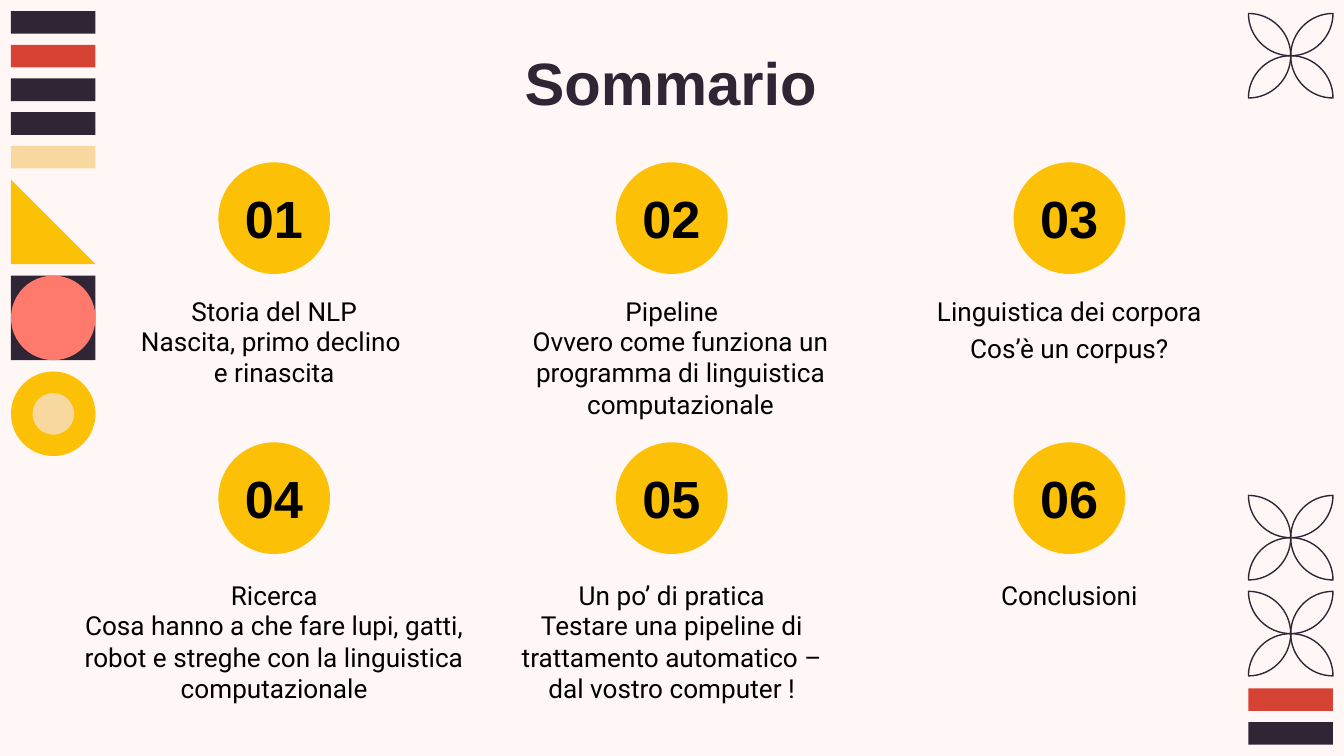
from dataclasses import dataclass

from lxml import etree
from pptx import Presentation
from pptx.dml.color import RGBColor
from pptx.enum import shapes, text
from pptx.oxml import ns
from pptx.util import Pt


@dataclass(frozen=True)
class Theme:
    paper: str = "FFF7F6"
    ink: str = "2F2534"
    black: str = "000000"
    red: str = "D64334"
    coral: str = "FF7A6D"
    yellow: str = "FCC107"
    sand: str = "F7D89E"
    head_font: str = "Arial"
    body_font: str = "Roboto"
    title_size: int = 32
    number_size: int = 28
    body_size: int = 14


T = Theme()
TITLE = dict(name=T.head_font, size=Pt(T.title_size), bold=True)
NUMBER = dict(name=T.head_font, size=Pt(T.number_size), bold=True)
BODY = dict(name=T.body_font, size=Pt(T.body_size), bold=False)
TOP, MIDDLE, BOTTOM = (text.MSO_ANCHOR.TOP, text.MSO_ANCHOR.MIDDLE,
                       text.MSO_ANCHOR.BOTTOM)
OVAL = shapes.MSO_SHAPE.OVAL
RECT = shapes.MSO_SHAPE.RECTANGLE
TRIANGLE = shapes.MSO_SHAPE.RIGHT_TRIANGLE

TILE = 45.3
TILE_STEP = 51.4
BAR = 12.1
BAR_STEP = 18.07
CIRCLE = 59.8
COLUMN = 181.4
PETAL = [("moveTo", [(0, 0)]),
         ("cubicBezTo", [(0.55, 0), (1, 0.45), (1, 1)]),
         ("cubicBezTo", [(0.45, 1), (0, 0.55), (0, 0)]),
         ("close", [])]


@dataclass(frozen=True)
class Topic:
    heading: str
    lines: tuple = ()
    width: float = COLUMN
    shift: float = 0
    drop: float = 0


TOPICS = [
    Topic("Storia del NLP", ("Nascita, primo declino ", "e rinascita")),
    Topic("Pipeline", ("Ovvero come funziona un programma di linguistica "
                       "computazionale",), width=190.8, shift=4.7),
    Topic("Linguistica dei corpora", ("Cos’è un corpus?",), drop=3.8),
    Topic("Ricerca", ("Cosa hanno a che fare lupi, gatti, robot e streghe "
                      "con la linguistica computazionale",), width=223.2),
    Topic("Un po’ di pratica", ("Testare una pipeline di trattamento "
                                "automatico – dal vostro computer !",)),
    Topic("Conclusioni"),
]


def add_solid(s, kind, x, y, w, h, color):
    sp = s.shapes.add_shape(kind, Pt(x), Pt(y), Pt(w), Pt(h))
    sp.shadow.inherit = False
    sp.fill.solid()
    sp.fill.fore_color.rgb = RGBColor.from_string(color)
    sp.line.fill.background()


def fill_text(tf, lines, style, color, anchor):
    frame = dict(word_wrap=True, auto_size=text.MSO_AUTO_SIZE.NONE,
                 vertical_anchor=anchor, margin_left=Pt(7.2),
                 margin_right=Pt(7.2), margin_top=Pt(7.2),
                 margin_bottom=Pt(7.2))
    for key, value in frame.items():
        setattr(tf, key, value)
    for i, line in enumerate(lines):
        p = tf.add_paragraph() if i else tf.paragraphs[0]
        layout = dict(alignment=text.PP_ALIGN.CENTER, line_spacing=1.0,
                      space_before=Pt(0), space_after=Pt(0))
        for key, value in layout.items():
            setattr(p, key, value)
        r = p.add_run()
        r.text = line
        for key, value in style.items():
            setattr(r.font, key, value)
        r.font.color.rgb = RGBColor.from_string(color)


def add_label(s, x, y, w, h, lines, style, anchor):
    sp = s.shapes.add_textbox(Pt(x), Pt(y), Pt(w), Pt(h))
    fill_text(sp.text_frame, lines, style, T.black, anchor)


def add_bars(s, x, y, colors):
    for i, color in enumerate(colors):
        add_solid(s, RECT, x, y + i * BAR_STEP, TILE, BAR, color)


def add_petal(group, x, y, size, right, low):
    builder = group.shapes.build_freeform(Pt(x), Pt(y), scale=1.0)
    builder.add_line_segments([(Pt(x + size), Pt(y + size))], close=True)
    sp = builder.convert_to_shape()
    sp.shadow.inherit = False
    sp.fill.background()
    sp.line.color.rgb = RGBColor.from_string(T.ink)
    sp.line.width = Pt(0.75)
    outline = next(sp.element.iter(ns.qn("a:path")))
    for step in list(outline):
        outline.remove(step)
    for tag, points in PETAL:
        step = etree.SubElement(outline, ns.qn(f"a:{tag}"))
        for u, v in points:
            etree.SubElement(step, ns.qn("a:pt"),
                             x=str(Pt(size * (1 - u if right else u))),
                             y=str(Pt(size * (1 - v if low else v))))


def add_flower(s, x, y, size):
    group = s.shapes.add_group_shape()
    half = size / 2
    for right, low in ((1, 1), (1, 0), (0, 0), (0, 1)):
        add_petal(group, x + right * half, y + low * half, half, right, low)


def add_left_strip(s, x, y):
    add_bars(s, x, y, (T.ink, T.red, T.ink, T.ink, T.sand))
    tops = [y + 5 * BAR_STEP + i * TILE_STEP for i in range(3)]
    add_solid(s, TRIANGLE, x, tops[0], TILE, TILE, T.yellow)
    add_solid(s, RECT, x, tops[1], TILE, TILE, T.ink)
    add_solid(s, OVAL, x, tops[1], TILE, TILE, T.coral)
    add_solid(s, OVAL, x, tops[2], TILE, TILE, T.yellow)
    core = 22.3
    inset = (TILE - core) / 2
    add_solid(s, OVAL, x + inset, tops[2] + inset, core, core, T.sand)


def add_right_strip(s, x, y):
    add_flower(s, x, y, TILE)
    lower = y + 258.2
    for i in range(2):
        add_flower(s, x, lower + i * TILE_STEP, TILE)
    add_bars(s, x, lower + 2 * TILE_STEP + 0.6, (T.red, T.ink))


def move_to_layout(s):
    layout = s.slide_layout
    for sp in list(layout.placeholders)[1:]:
        layout.shapes.element.remove(sp.element)
    for sp in list(s.shapes):
        if not sp.is_placeholder:
            layout.shapes.element.append(sp.element)


def add_title(s, x, y, w, h, title):
    sp = s.shapes.title
    for key, value in dict(left=x, top=y, width=w, height=h).items():
        setattr(sp, key, Pt(value))
    fill_text(sp.text_frame, [title], TITLE, T.ink, TOP)


def add_topic(s, x, y, w, number, topic, text_top):
    mid = x + w / 2
    add_solid(s, OVAL, mid - CIRCLE / 2, y, CIRCLE, CIRCLE, T.yellow)
    add_label(s, mid - 35.8, y + 15.2, 71.2, 28.8, [f"{number:02}"],
              NUMBER, MIDDLE)
    add_label(s, x, y + text_top, w, 30.2, [topic.heading], BODY, BOTTOM)
    if topic.lines:
        add_label(s, mid - topic.width / 2 + topic.shift,
                  y + text_top + 15.3 + topic.drop, topic.width, 45.4,
                  topic.lines, BODY, TOP)


def add_agenda(s, x, y, topics):
    for i, topic in enumerate(topics):
        row, column = divmod(i, 3)
        add_topic(s, x + column * 213, y + row * 150, COLUMN, i + 1, topic,
                  64.9 + row * 2.2)


def main():
    prs = Presentation()
    prs.slide_width, prs.slide_height = Pt(720), Pt(405)
    s = prs.slides.add_slide(prs.slide_layouts[5])
    s.background.fill.solid()
    s.background.fill.fore_color.rgb = RGBColor.from_string(T.paper)
    add_left_strip(s, 5.9, 5.9)
    add_right_strip(s, 668.8, 7.2)
    move_to_layout(s)
    add_title(s, 55.9, 17.3, 607, 45.4, "Sommario")
    add_agenda(s, 56.2, 87, TOPICS)
    prs.save("out.pptx")


if __name__ == "__main__":
    main()
